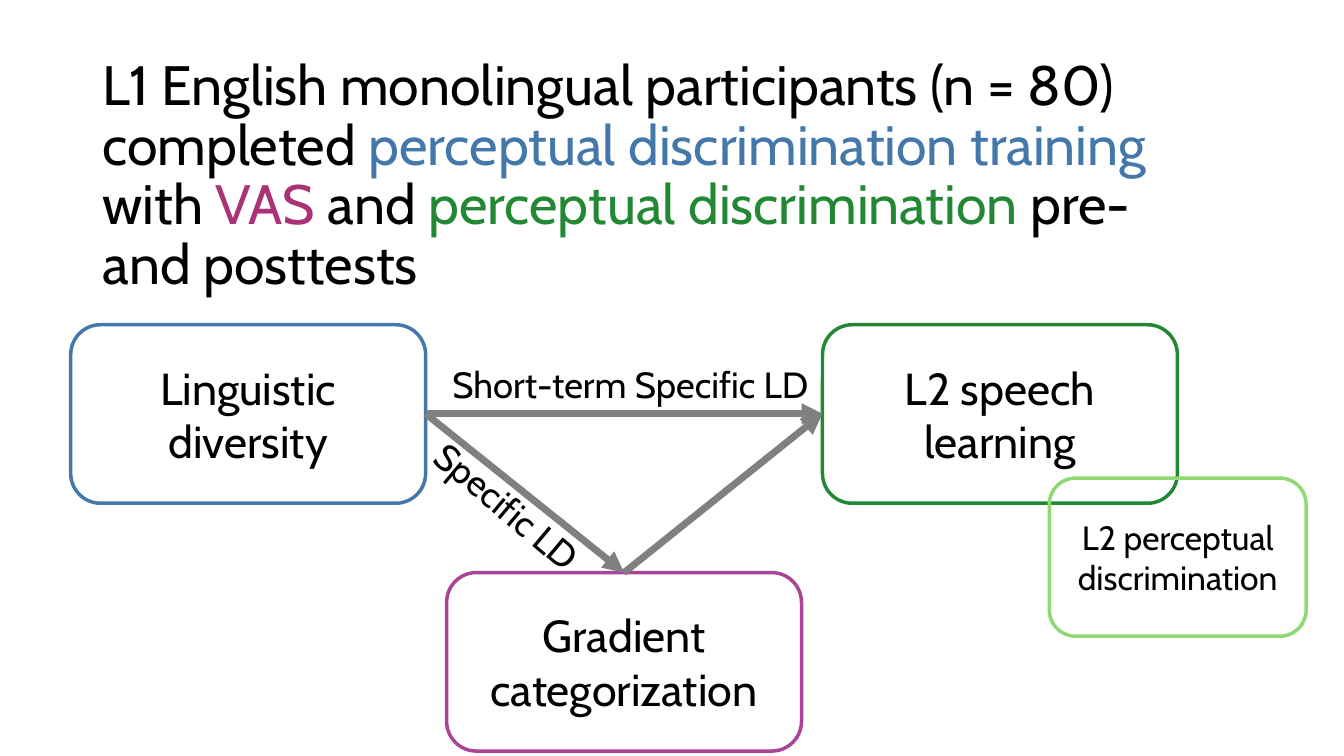
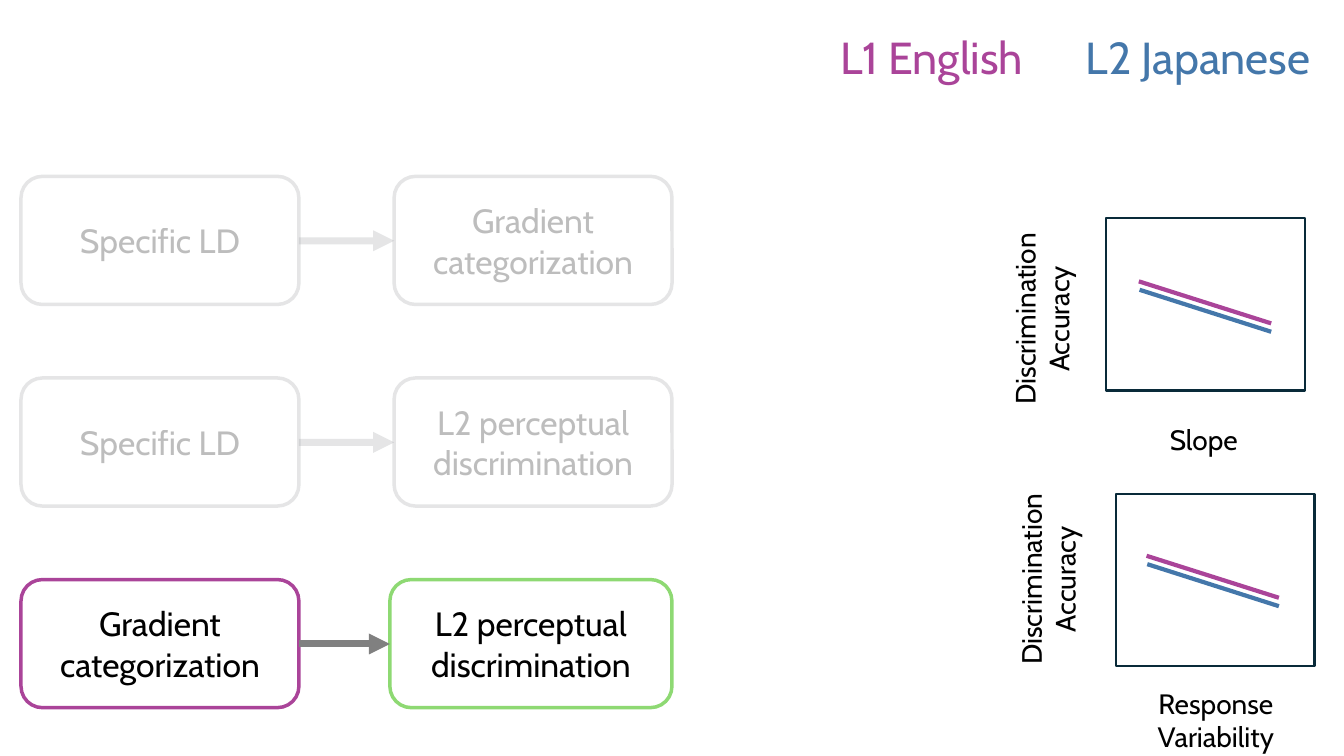
import pptx
import pptx.util
import pptx.dml.color
import pptx.enum.shapes
import pptx.enum.text
import pptx.oxml.ns
import lxml.etree

Pt = pptx.util.Pt
qn = pptx.oxml.ns.qn
Shape = pptx.enum.shapes.MSO_SHAPE
Align = pptx.enum.text.PP_ALIGN
Anchor = pptx.enum.text.MSO_ANCHOR

FONT = "Cabin"
BLACK, WHITE, GRAY, PALE = "000000", "FFFFFF", "808080", "9B9CA1"
BLUE, GREEN, LIME = "4477AA", "228833", "8ED973"
PURPLE, WINE, NAVY = "AA4499", "AA3377", "092A39"


def rgb(code):
    return pptx.dml.color.RGBColor.from_string(code)


def write(shape, text, size, color, align, wrap=True):
    frame = shape.text_frame
    frame.word_wrap = wrap
    para = frame.paragraphs[0]
    para.text = text
    para.alignment = align
    para.font.name = FONT
    para.font.size = Pt(size)
    para.font.color.rgb = rgb(color)


deck = pptx.Presentation()
deck.slide_width, deck.slide_height = Pt(960), Pt(540)
model = deck.slides.add_slide(deck.slide_layouts[5])
plots = deck.slides.add_slide(deck.slide_layouts[6])

# Title of the first slide
title = model.shapes.title
title.left, title.top, title.width, title.height = Pt(66), Pt(40), Pt(804.5), Pt(173)
title.text_frame.word_wrap = True
title.text_frame.auto_size = pptx.enum.text.MSO_AUTO_SIZE.NONE
title.text_frame.vertical_anchor = Anchor.MIDDLE
para = title.text_frame.paragraphs[0]
para.alignment = Align.LEFT
para.line_spacing = 0.9
para.font.name = FONT
para.font.size = Pt(39.6)
for text, color in [
    ("L1 English monolingual participants (n = 80) completed ", BLACK),
    ("perceptual discrimination training ", BLUE),
    ("with ", BLACK),
    ("VAS ", WINE),
    ("and ", BLACK),
    ("perceptual discrimination ", GREEN),
    ("pre- and posttests", BLACK),
]:
    run = para.add_run()
    run.text = text
    run.font.color.rgb = rgb(color)

# Boxes: slide, left, top, width, height, text, size, line, fill
wide, high = 253.5, 127.5
boxes = [
    (model, 50.5, 232, wide, high, "Linguistic diversity", 32, BLUE, WHITE),
    (model, 587.5, 232, wide, high, "L2 speech learning", 32, GREEN, WHITE),
    (model, 319, 409, wide, high, "Gradient categorization", 32, PURPLE, WHITE),
    (model, 749.5, 341.5, 183.5, 113, "L2 perceptual discrimination", 24, LIME, None),
]
# Lines: slide, start x, start y, end x, end y, color, weight
start, end, level = 304, 587.5, 295.5
mid = (start + end) / 2
lines = [
    (model, start, level, end, level, GRAY, 5),
    (model, start, level, mid, 409, GRAY, 5),
    (model, mid, 409, end, level, GRAY, 5),
]
# Labels: slide, left, top, width, height, text, size, color, align, turn
labels = [
    (model, 292.5, 343.5, 142.5, 39, "Specific LD", 26, BLACK, Align.LEFT, 40),
    (model, 316, 255.5, 271.5, 39, "Short-term Specific LD", 26, BLACK, Align.LEFT, 0),
    (plots, 593.5, 17.5, 155.5, 46, "L1 English", 32, PURPLE, Align.LEFT, 0),
    (plots, 768.5, 17.5, 185.5, 46, "L2 Japanese", 32, BLUE, Align.LEFT, 0),
    (plots, 828.5, 298, 64, 31.5, "Slope", 20, BLACK, Align.LEFT, 0),
    (plots, 807, 486.5, 123, 55.5, "Response Variability", 20, BLACK, Align.CENTER, 0),
]

# Rows of the second slide
for row, (cause, effect, left, edge, rim, shaft) in enumerate([
    ("Specific LD", "Gradient categorization", 281.5, PALE, PALE, PALE),
    ("Specific LD", "L2 perceptual discrimination", 281.5, PALE, PALE, PALE),
    ("Gradient categorization", "L2 perceptual discrimination", 278.5,
     PURPLE, LIME, GRAY),
]):
    top = 126 + 144 * row
    boxes += [
        (plots, 15, top, 198.5, 91.5, cause, 24, edge, None),
        (plots, left, top, 480 - left, 91.5, effect, 24, rim, None),
    ]
    lines.append((plots, 213.5, top + 46, left, top + 46, shaft, 5))

# Small plots: frame corner, first trend point, axis label corner
for left, top, x, y, side, above in [
    (790, 156, 813.5, 201, 669.5, 200),
    (797, 353, 819, 397, 674, 386),
]:
    boxes.append((plots, left, top, 142, 123, "", 20, NAVY, None))
    lines += [
        (plots, x, y, x + 94.5, y + 30, PURPLE, 3),
        (plots, x + 0.5, y + 6, x + 94.5, y + 36, BLUE, 3),
    ]
    labels.append((plots, side, above, 149, 55.5, "Discrimination Accuracy",
                   20, BLACK, Align.CENTER, 270))

drawn = []
for slide, left, top, width, height, text, size, color, fill in boxes:
    kind = Shape.ROUNDED_RECTANGLE if text else Shape.RECTANGLE
    box = slide.shapes.add_shape(kind, Pt(left), Pt(top), Pt(width), Pt(height))
    box.shadow.inherit = False
    if fill:
        box.fill.solid()
        box.fill.fore_color.rgb = rgb(fill)
    else:
        box.fill.background()
    box.line.color.rgb = rgb(color)
    box.line.width = Pt(2.5 if text else 1.5)
    if text:
        box.text_frame.vertical_anchor = Anchor.MIDDLE
        write(box, text, size, BLACK, Align.CENTER)
    drawn.append((box, color))

for slide, x1, y1, x2, y2, color, weight in lines:
    line = slide.shapes.add_connector(
        pptx.enum.shapes.MSO_CONNECTOR.STRAIGHT, Pt(x1), Pt(y1), Pt(x2), Pt(y2))
    line.line.color.rgb = rgb(color)
    line.line.width = Pt(weight)
    props = line.element.spPr
    if weight == 5:
        lxml.etree.SubElement(props.find(qn("a:ln")), qn("a:tailEnd"), type="triangle")
    lxml.etree.SubElement(props, qn("a:effectLst"))
    drawn.append((line, color))

for slide, left, top, width, height, text, size, color, align, turn in labels:
    label = slide.shapes.add_textbox(Pt(left), Pt(top), Pt(width), Pt(height))
    label.rotation = turn
    write(label, text, size, color, align, align == Align.CENTER)

# Pale parts are mostly transparent, text included
for shape, color in drawn:
    if color == PALE:
        for hue in shape.element.iter(qn("a:srgbClr")):
            lxml.etree.SubElement(hue, qn("a:alpha"), val="25000")

deck.save("out.pptx")
